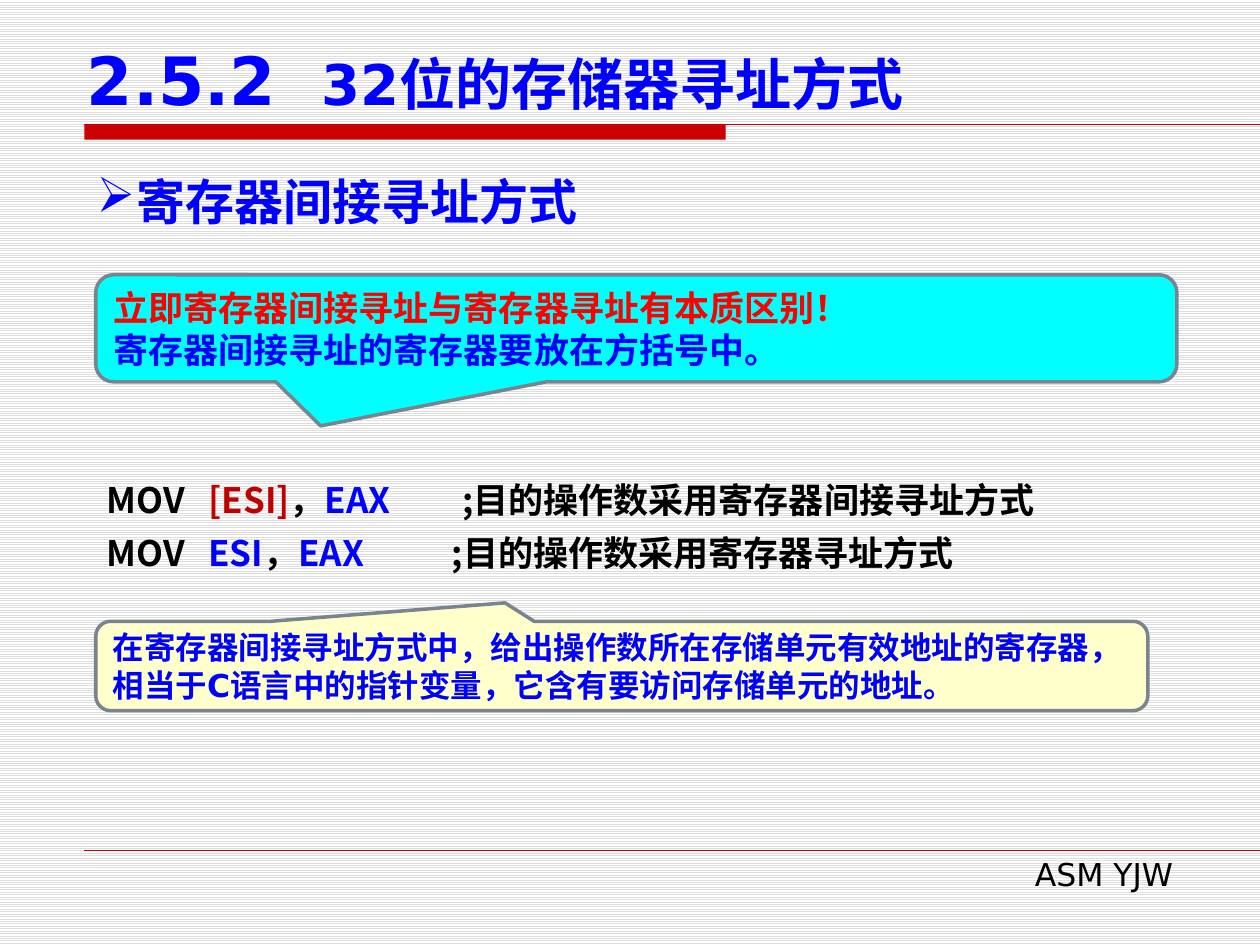
from lxml.etree import SubElement
from pptx import Presentation
from pptx.dml.color import RGBColor
from pptx.enum.dml import MSO_PATTERN
from pptx.enum.shapes import MSO_CONNECTOR, MSO_SHAPE
from pptx.enum.text import MSO_ANCHOR, MSO_AUTO_SIZE, PP_ALIGN
from pptx.oxml.ns import qn
from pptx.util import Pt

BLUE = RGBColor(0x00, 0x00, 0xFF)
RED = RGBColor(0xFF, 0x00, 0x00)
DARK_RED = RGBColor(0xC0, 0x00, 0x00)
RULE_RED = RGBColor(0xCC, 0x00, 0x00)
BLACK = RGBColor(0x00, 0x00, 0x00)
WHITE = RGBColor(0xFF, 0xFF, 0xFF)
STRIPE = RGBColor(0xDD, 0xDD, 0xDD)
CYAN = RGBColor(0x00, 0xFF, 0xFF)
CREAM = RGBColor(0xFF, 0xFF, 0xCC)
OUTLINE = RGBColor(0x79, 0x84, 0x8F)
LATIN_FONT = "DejaVu Sans"
CJK_FONT = "Noto Sans CJK SC"
LEFT, MIDDLE, BOTTOM = PP_ALIGN.LEFT, MSO_ANCHOR.MIDDLE, MSO_ANCHOR.BOTTOM
RIGHT, JUSTIFY = PP_ALIGN.RIGHT, PP_ALIGN.JUSTIFY

SECTION_NUMBER, SECTION_NAME = "2.5.2", "32位的存储器寻址方式"
TOPIC = "寄存器间接寻址方式"
FOOTER = "ASM YJW"
CODE_LINES = [
    ("[ESI]", DARK_RED, "目的操作数采用寄存器间接寻址方式", 203),
    ("ESI", BLUE, "目的操作数采用寄存器寻址方式", 197),
]
OPERAND_TAB = 58
CALLOUTS = [
    ((54.7, 157, 617.8, 61.2), (-0.292, 0.911, 0.167), CYAN, 20,
     [("立即寄存器间接寻址与寄存器寻址有本质区别！", RED),
      ("寄存器间接寻址的寄存器要放在方括号中。", BLUE)]),
    ((54.7, 355, 601.2, 51.1), (-0.111, -0.706, 0.167), CREAM, 18,
     [("在寄存器间接寻址方式中，给出操作数所在存储单元有效地址的寄存器，"
       "相当于C语言中的指针变量，它含有要访问存储单元的地址。", BLUE)]),
]
RULES = [((48.2, 71.3), 674.6, 0.75), ((48.2, 486), 671.8, 0.25)]
TITLE_BAR = (48.2, 71.3, 366.5, 8.6)


def points(values):
    return [Pt(value) for value in values]


def write(paragraph, runs, size, bold=True, font_name=LATIN_FONT, align=LEFT):
    paragraph.alignment = align
    font = paragraph.font
    font.name, font.size, font.bold = font_name, Pt(size), bold
    default_properties = paragraph._p.pPr.find(qn("a:defRPr"))
    SubElement(default_properties, qn("a:ea"), typeface=CJK_FONT)
    colors = {color for _, color in runs}
    if len(colors) == 1:
        font.color.rgb = runs[0][1]
    for text, color in runs:
        run = paragraph.add_run()
        run.text = text
        if len(colors) > 1:
            run.font.color.rgb = color


def set_tabs(paragraph, *positions):
    tabs = SubElement(paragraph._p.get_or_add_pPr(), qn("a:tabLst"))
    for position in positions:
        SubElement(tabs, qn("a:tab"), pos=str(Pt(position)), algn="l")


def add_text_box(slide, *box):
    frame = slide.shapes.add_textbox(*points(box)).text_frame
    frame.word_wrap = True
    return frame


def add_rule(slide, start, length, weight):
    x, y = start
    rule = slide.shapes.add_connector(
        MSO_CONNECTOR.STRAIGHT, *points((x, y, x + length, y)))
    rule.line.color.rgb = RULE_RED
    rule.line.width = Pt(weight)
    SubElement(rule._element.spPr, qn("a:effectLst"))


def add_filled_shape(slide, kind, box, color):
    shape = slide.shapes.add_shape(kind, *points(box))
    shape.shadow.inherit = False
    shape.fill.solid()
    shape.fill.fore_color.rgb = color
    return shape


def add_title(slide):
    title = slide.shapes.title
    title.left, title.top, title.width, title.height = points((42.5, 20.2, 652.3, 51.1))
    frame = title.text_frame
    frame.auto_size = MSO_AUTO_SIZE.NONE
    frame.vertical_anchor = BOTTOM
    paragraph = frame.paragraphs[0]
    set_tabs(paragraph, 134)
    write(paragraph, [(SECTION_NUMBER + "\t", BLUE), (SECTION_NAME, BLUE)], 32)
    paragraph.runs[0].font.size = Pt(38)


def add_topic(slide):
    paragraph = add_text_box(slide, 48.2, 94.3, 623.5, 41).paragraphs[0]
    properties = paragraph._p.get_or_add_pPr()
    properties.set("marL", str(Pt(23)))
    properties.set("indent", str(Pt(-23)))
    SubElement(properties, qn("a:buChar"), char="➢")
    write(paragraph, [(TOPIC, BLUE)], 28, align=JUSTIFY)


def add_code(slide):
    frame = add_text_box(slide, 54, 264.2, 640, 67.7)
    for index, (target, color, comment, comment_tab) in enumerate(CODE_LINES):
        paragraph = frame.add_paragraph() if index else frame.paragraphs[0]
        set_tabs(paragraph, OPERAND_TAB, comment_tab)
        paragraph.line_spacing = Pt(30)
        runs = [("MOV\t", BLACK), (target, color), ("，", BLACK),
                ("EAX\t", BLUE), (";" + comment, BLACK)]
        write(paragraph, runs, 20, font_name=CJK_FONT)


def add_callout(slide, box, adjustments, color, size, lines):
    callout = add_filled_shape(slide, MSO_SHAPE.ROUNDED_RECTANGULAR_CALLOUT, box, color)
    for index, value in enumerate(adjustments):
        callout.adjustments[index] = value
    callout.line.color.rgb = OUTLINE
    callout.line.width = Pt(2)
    frame = callout.text_frame
    frame.word_wrap = True
    frame.vertical_anchor = MIDDLE
    for index, line in enumerate(lines):
        paragraph = frame.add_paragraph() if index else frame.paragraphs[0]
        write(paragraph, [line], size)


def main():
    presentation = Presentation()
    presentation.slide_width, presentation.slide_height = Pt(720), Pt(540)
    slide = presentation.slides.add_slide(presentation.slide_layouts[5])
    background = slide.background.fill
    background.patterned()
    background.pattern = MSO_PATTERN.LIGHT_HORIZONTAL
    background.fore_color.rgb = STRIPE
    background.back_color.rgb = WHITE

    add_filled_shape(slide, MSO_SHAPE.RECTANGLE, TITLE_BAR, RULE_RED).line.fill.background()
    for rule in RULES:
        add_rule(slide, *rule)
    footer = add_text_box(slide, 275, 485.3, 402.5, 28.8)
    write(footer.paragraphs[0], [(FOOTER, BLACK)], 18, bold=False, align=RIGHT)
    add_title(slide)
    add_topic(slide)
    add_code(slide)
    for callout in CALLOUTS:
        add_callout(slide, *callout)
    presentation.save("out.pptx")


if __name__ == "__main__":
    main()
